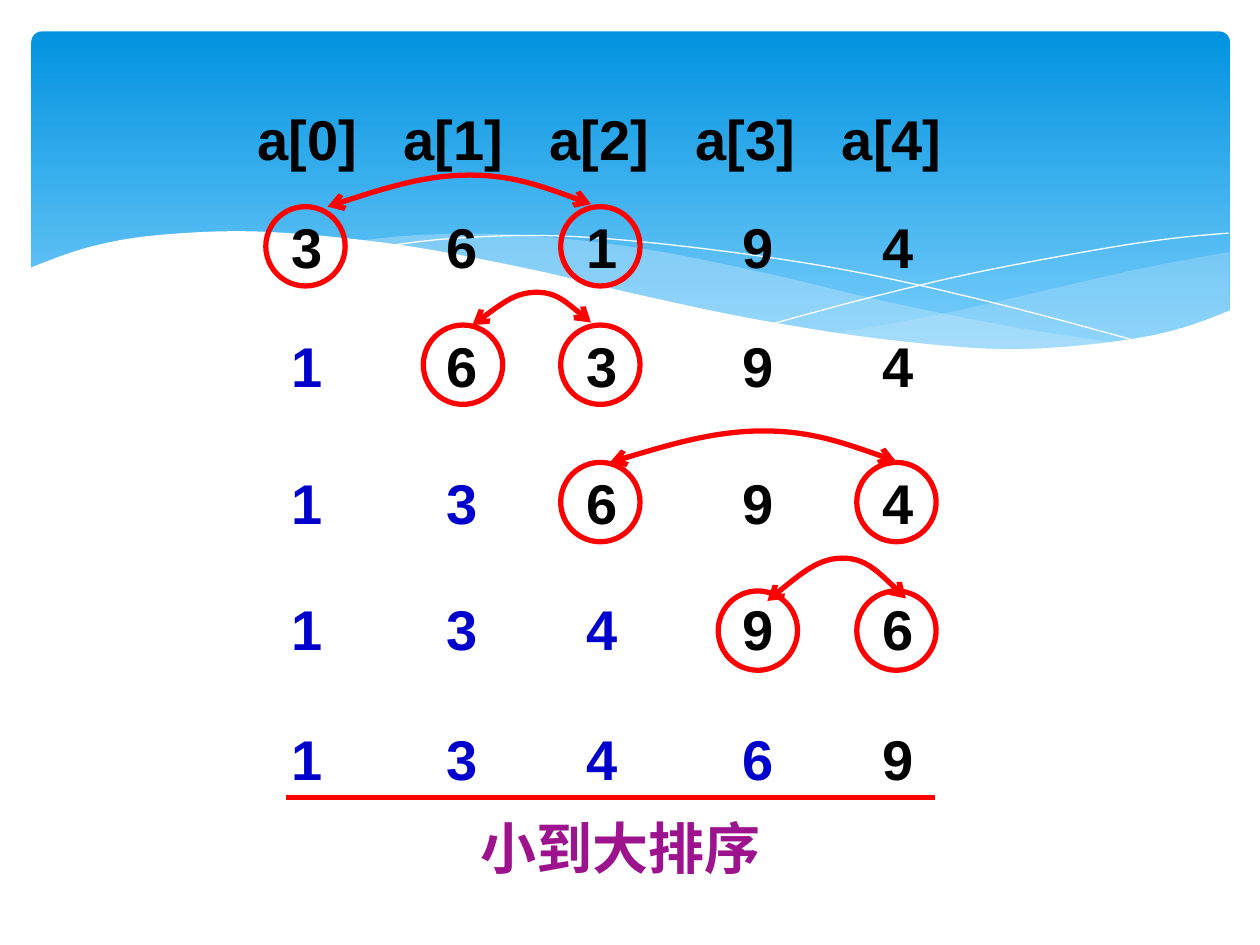
"""Build a slide that traces a small-to-large selection sort, row by row."""
from lxml.etree import SubElement
from pptx import Presentation
from pptx.dml.color import RGBColor
from pptx.enum.shapes import MSO_CONNECTOR, MSO_SHAPE
from pptx.enum.text import MSO_AUTO_SIZE, PP_ALIGN
from pptx.oxml.ns import qn
from pptx.util import Inches, Pt

deck = Presentation()
deck.slide_width, deck.slide_height = Inches(10), Inches(7.5)
unit = deck.slide_width // 10
page = deck.slides.add_slide(deck.slide_layouts[6])
shapes = page.shapes
hue = RGBColor.from_string


def write(runs, left, top, wide, stops=(), align=PP_ALIGN.LEFT, size=32, font="Arial"):
    box = shapes.add_textbox(*[int(n * unit) for n in (left, top, wide, 0.64)])
    frame = box.text_frame
    frame.word_wrap = True
    frame.auto_size = MSO_AUTO_SIZE.SHAPE_TO_FIT_TEXT
    para = frame.paragraphs[0]
    para.alignment = align
    if stops:
        tabs = SubElement(para._p.get_or_add_pPr(), qn("a:tabLst"))
        for stop in stops:
            SubElement(tabs, qn("a:tab"), pos=str(int((stop - left - 0.1) * unit)), algn="ctr")
    for text, color in runs:
        run = para.add_run()
        run.text = text
        run.font.name, run.font.size, run.font.bold = font, Pt(size), True
        run.font.color.rgb = hue(color)


def curve(strands, fill=None, alpha=100, line=None, width=0, heads=False):
    dots, counts = [], []
    for knots in strands:
        dots.append(knots[0])
        counts.append(1)
        last = len(knots) - 1
        slopes = [tuple((b - a) / 6 for a, b in zip(knots[max(i - 1, 0)], knots[min(i + 1, last)]))
                  for i in range(last + 1)]
        for i in range(last):
            (ax, ay), (bx, by) = knots[i], knots[i + 1]
            near = (ax + slopes[i][0], ay + slopes[i][1])
            far = (bx - slopes[i + 1][0], by - slopes[i + 1][1])
            if i == 0:
                near = ((ax + far[0]) / 2, (ay + far[1]) / 2)
            if i == last - 1:
                far = ((bx + near[0]) / 2, (by + near[1]) / 2)
            dots += [near, far, (bx, by)]
            counts.append(3)
    spots = [(int(x * unit), int(y * unit)) for x, y in dots]
    pen = shapes.build_freeform(*spots[0], scale=1.0)
    pen.add_line_segments(spots[1:], close=fill is not None)
    form = pen.convert_to_shape()
    form.shadow.inherit = False
    legs = iter(list(form._element.iter(qn("a:lnTo"))))
    for count in counts[1:]:
        leg = next(legs)
        if count == 3:
            leg.tag = qn("a:cubicBezTo")
            for _ in range(2):
                other = next(legs)
                leg.append(other[0])
                other.getparent().remove(other)
    if fill:
        form.fill.solid()
        form.fill.fore_color.rgb = hue(fill)
        if alpha < 100:
            tint = next(form._element.spPr.iter(qn("a:srgbClr")))
            SubElement(tint, qn("a:alpha"), val=str(alpha * 1000))
    else:
        form.fill.background()
    if line:
        form.line.color.rgb, form.line.width = hue(line), Pt(width)
    else:
        form.line.fill.background()
    if heads:
        for end in ("a:headEnd", "a:tailEnd"):
            SubElement(form.line._get_or_add_ln(), qn(end), type="arrow")


sky = shapes.add_shape(MSO_SHAPE.ROUNDED_RECTANGLE,
                       *[int(n * unit) for n in (0.25, 0.25, 9.51, 2.7)])
sky.adjustments[0] = 0.03
sky.shadow.inherit = False
sky.line.fill.background()
sky.fill.gradient()
sky.fill.gradient_angle = 270
for stop, color in zip(sky.fill.gradient_stops, ("0293E0", "83D3FE")):
    stop.color.rgb = hue(color)

curve([[(9.76, 2), (9.06, 2.13), (8.32, 2.3), (7.53, 2.48), (6.61, 2.65)],
       [(6.61, 2.65), (7.18, 2.73), (7.92, 2.77), (8.63, 2.75), (9.21, 2.65), (9.76, 2.47)]],
      fill="C6E7FC", alpha=29)
curve([[(8.93, 2.73), (8.07, 2.6), (7.06, 2.4), (6.13, 2.18), (5.14, 1.98), (4.2, 1.87),
        (3.44, 1.86), (2.86, 1.91)],
       [(2.86, 1.91), (3.62, 2.03), (4.49, 2.22), (5.66, 2.48), (6.65, 2.66), (7.48, 2.76),
        (8.18, 2.79), (8.93, 2.73)]], fill="C6E7FC", alpha=40)
curve([[(3.09, 1.95), (3.63, 1.89), (4.33, 1.87), (5.1, 1.92), (6.08, 2.04), (6.95, 2.19),
        (7.95, 2.42), (9.07, 2.72)]], line="FFFFFF")
curve([[(6.13, 2.57), (6.95, 2.35), (7.76, 2.16), (8.66, 1.99), (9.24, 1.9), (9.75, 1.85)]],
      line="FFFFFF")
curve([[(9.77, 2.46), (9.1, 2.67), (8.09, 2.77), (7.08, 2.7), (6.03, 2.54), (5.03, 2.33),
        (4.18, 2.13), (3.15, 1.94), (2.11, 1.84), (1.32, 1.86), (0.75, 1.95), (0.23, 2.13)],
       [(0.23, 3.29)], [(9.77, 3.29)]], fill="FFFFFF")

heads = "".join(f"\ta[{i}]" for i in range(5))
write([(heads, "000000")], 1.48, 0.78, 6.56, stops=[2.44 + 1.16 * i for i in range(5)])

cols = (2.44, 3.67, 4.78, 6.02, 7.13)
rows = ((1.64, "36194"), (2.58, "16394"), (3.67, "13694"), (4.67, "13496"), (5.7, "13469"))
for done, (top, nums) in enumerate(rows):
    cells = ["\t" + num for num in nums]
    runs = [("".join(cells[:done]), "0000CC"), ("".join(cells[done:]), "000000")]
    write([run for run in runs if run[0]], 1.48, top, 6.56, stops=cols)

rings = (2.11, 3.36, 4.45, 5.7, 6.8)
swaps = ((1.64, 0, 2, [(2.6, 1.64), (3.71, 1.39), (4.69, 1.62)]),
         (2.58, 1, 2, [(3.75, 2.58), (4.25, 2.32), (4.69, 2.56)]),
         (3.67, 2, 4, [(4.84, 3.67), (6.05, 3.42), (7.11, 3.66)]),
         (4.69, 3, 4, [(6.09, 4.77), (6.68, 4.43), (7.19, 4.75)]))
for top, first, second, arc in swaps:
    for col in (first, second):
        ring = shapes.add_shape(MSO_SHAPE.OVAL,
                                *[int(n * unit) for n in (rings[col], top, 0.63, 0.63)])
        ring.shadow.inherit = False
        ring.fill.background()
        ring.line.color.rgb, ring.line.width = hue("FF0000"), Pt(3)
    curve([arc], line="FF0000", width=3, heads=True)

write([("小到大排序", "9D138D")], 2.97, 6.41, 3.91, align=PP_ALIGN.CENTER)
rule = shapes.add_connector(MSO_CONNECTOR.STRAIGHT,
                            *[int(n * unit) for n in (2.27, 6.33, 7.42, 6.33)])
rule.line.color.rgb, rule.line.width = hue("FF0000"), Pt(3)
SubElement(rule._element.spPr, qn("a:effectLst"))

deck.save("out.pptx")
